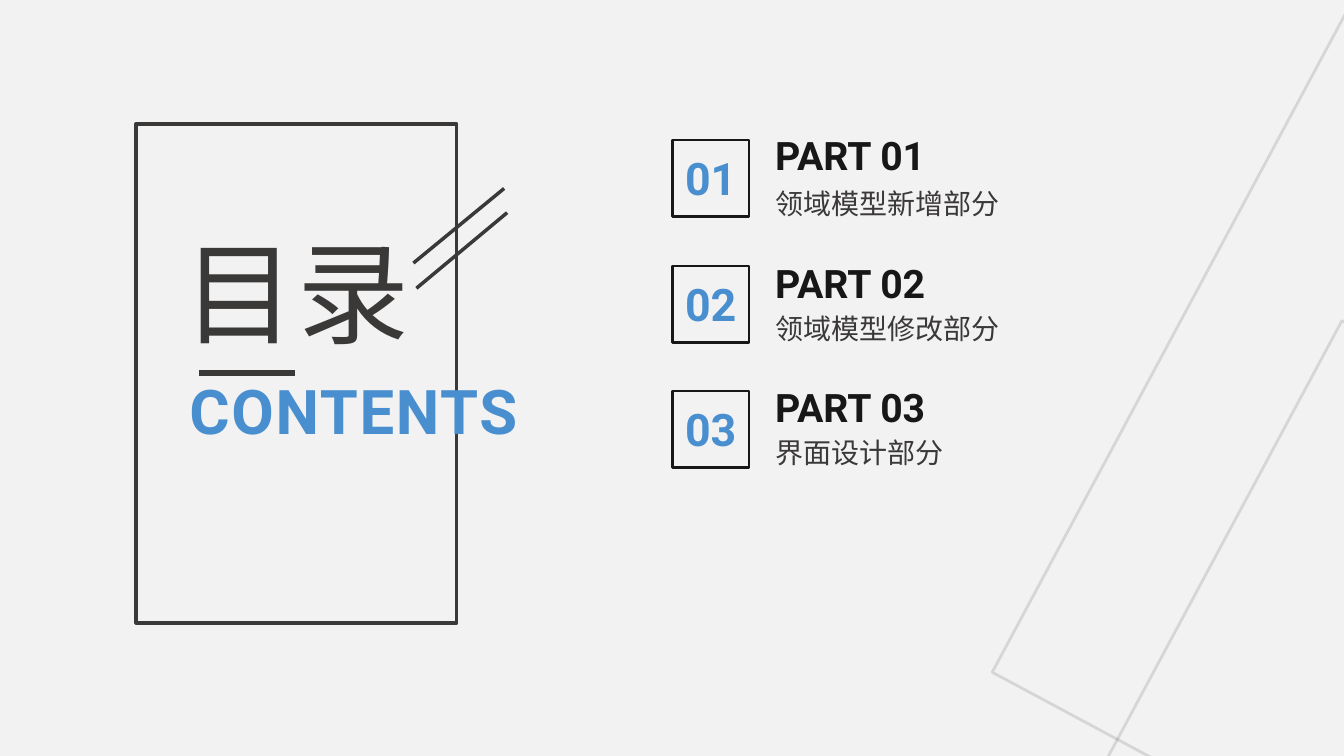
from dataclasses import dataclass

from lxml import etree
from pptx import Presentation
from pptx.dml.color import RGBColor
from pptx.enum.shapes import MSO_CONNECTOR as CONN, MSO_SHAPE as SHAPE
from pptx.enum.text import MSO_ANCHOR as ANCHOR, MSO_AUTO_SIZE as FIT, PP_ALIGN as ALIGN
from pptx.oxml.ns import qn
from pptx.util import Pt

PX = 9144  # 100 px to the inch


@dataclass(frozen=True)
class Theme:
    background: str = "F2F2F2"
    dark: str = "3B3838"
    black: str = "181717"
    gradient: tuple = ("498FCF", "2B37BE")
    latin: str = "Roboto"
    chinese: str = "Noto Sans CJK SC"
    title: int = 80
    contents: int = 44
    number: int = 32
    heading: int = 28
    caption: int = 20


THEME = Theme()

# number, heading, caption, then the tops of box, heading and caption
PARTS = [
    ("01", "PART 01", "领域模型新增部分", 139, 125, 180),
    ("02", "PART 02", "领域模型修改部分", 264, 252, 304),
    ("03", "PART 03", "界面设计部分", 388, 375, 427),
]


def rgb(color):
    return RGBColor.from_string(color)


def px(*lengths):
    return [length * PX for length in lengths]


def paint_text(font, color):
    """Colour a font; a pair of colours makes a diagonal gradient."""
    if isinstance(color, str):
        font.color.rgb = rgb(color)
        return
    font.fill.gradient()
    font.fill.gradient_angle = 225
    for stop, stop_color in zip(font.fill.gradient_stops, color):
        stop.color.rgb = rgb(stop_color)


def write(shape, text, size, color, face, bold=False, align=ALIGN.LEFT, spacing=0):
    """Fill a shape with one run; spacing is in hundredths of a point."""
    tf = shape.text_frame
    tf.word_wrap = True
    tf.auto_size = FIT.SHAPE_TO_FIT_TEXT
    tf.vertical_anchor = ANCHOR.TOP
    p = tf.paragraphs[0]
    p.alignment = align
    r = p.add_run()
    r.text = text
    r.font.size = Pt(size)
    r.font.bold = bold
    paint_text(r.font, color)
    r.font.name = face
    props = r.font._element
    etree.SubElement(props, qn("a:ea")).set("typeface", face)
    if spacing:
        props.set("spc", str(spacing))
    return p


def add_text(s, box, *args, **kwargs):
    return write(s.shapes.add_textbox(*px(*box)), *args, **kwargs)


def add_frame(s, box, color, width, rotation=0, opacity=100):
    sp = s.shapes.add_shape(SHAPE.RECTANGLE, *px(*box))
    sp.shadow.inherit = False
    sp.fill.background()
    sp.line.color.rgb = rgb(color)
    sp.line.width = Pt(width)
    sp.rotation = rotation
    if opacity < 100:
        tint = sp.line._ln.find(".//" + qn("a:srgbClr"))
        etree.SubElement(tint, qn("a:alpha")).set("val", str(opacity * 1000))


def add_line(s, ends, width):
    line = s.shapes.add_connector(CONN.STRAIGHT, *px(*ends))
    line.line.color.rgb = rgb(THEME.dark)
    line.line.width = Pt(width)
    etree.SubElement(line._element.spPr, qn("a:effectLst"))


def place_title(s):
    title = s.shapes.title
    title.left, title.top, title.width, title.height = px(172, 278, 416, 94)
    p = write(title, "目录", THEME.title, THEME.dark, THEME.chinese, spacing=130)
    p.line_spacing = Pt(52)


def add_part(s, number, heading, caption, box_top, heading_top, caption_top):
    add_frame(s, (667, box_top, 76, 76), THEME.black, 2)
    add_text(s, (667, box_top + 6, 76, 64), number, THEME.number,
             THEME.gradient, THEME.latin, bold=True, align=ALIGN.CENTER)
    add_text(s, (759, heading_top, 225, 57), heading, THEME.heading,
             THEME.black, THEME.latin, bold=True)
    add_text(s, (759, caption_top, 341, 44), caption, THEME.caption,
             THEME.dark, THEME.chinese)


def main():
    prs = Presentation()
    prs.slide_width, prs.slide_height = px(1333, 750)
    s = prs.slides.add_slide(prs.slide_layouts[5])
    s.background.fill.solid()
    s.background.fill.fore_color.rgb = rgb(THEME.background)

    for left, top in ((1117, 138), (1109, 451)):
        add_frame(s, (left, top, 751, 751), THEME.dark, 2, rotation=298.2, opacity=15)

    add_frame(s, (135, 123, 318, 495), THEME.dark, 2.5)
    place_title(s)
    add_line(s, (197, 370, 293, 370), 4)
    add_text(s, (178, 365, 472, 84), "CONTENTS", THEME.contents,
             THEME.gradient, THEME.latin, bold=True, spacing=120)
    for ends in ((500, 187, 410, 261), (503, 211, 413, 286)):
        add_line(s, ends, 2.5)

    for part in PARTS:
        add_part(s, *part)
    prs.save("out.pptx")


if __name__ == "__main__":
    main()
